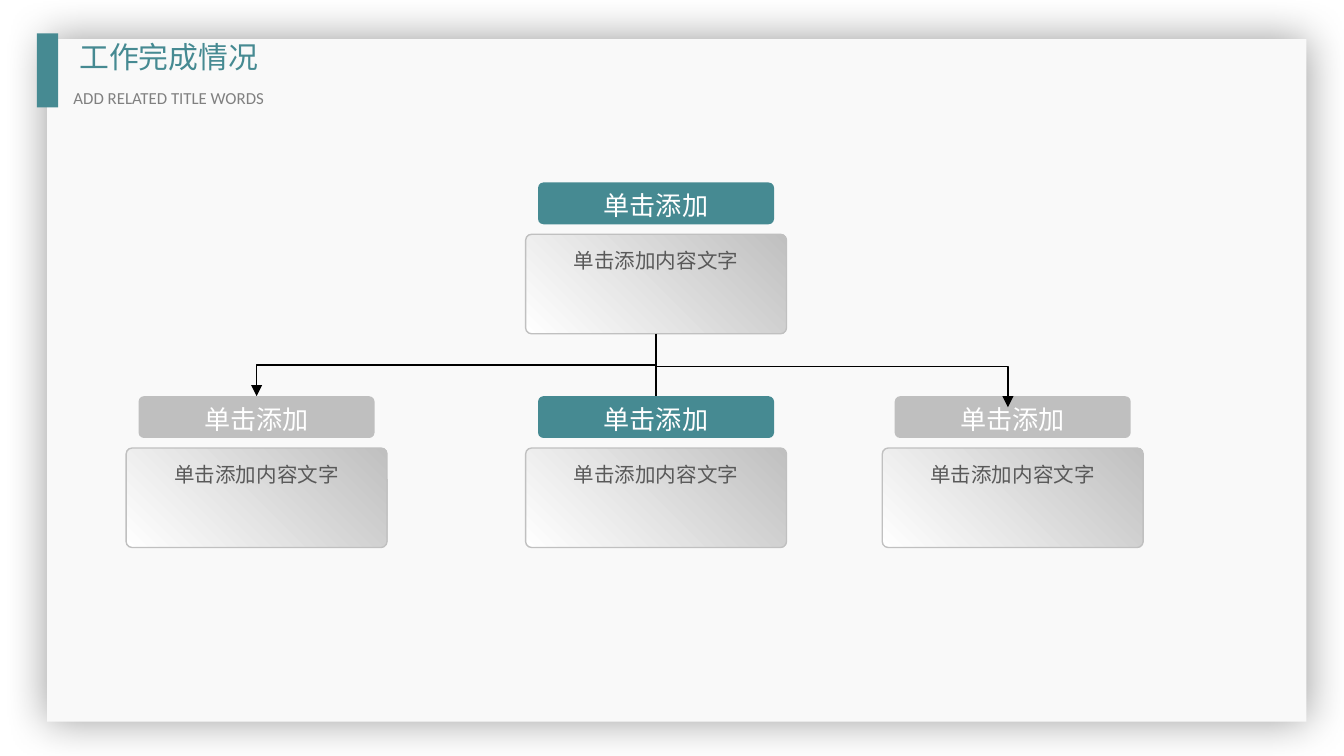
"""Build a work-completion slide: one parent box branching to three child boxes."""
from lxml import etree
from pptx import Presentation
from pptx.dml.color import RGBColor
from pptx.enum.shapes import MSO_CONNECTOR, MSO_SHAPE
from pptx.enum.text import MSO_ANCHOR, MSO_AUTO_SIZE, PP_ALIGN
from pptx.oxml.ns import qn
from pptx.util import Cm, Pt

RECT, ROUNDED = MSO_SHAPE.RECTANGLE, MSO_SHAPE.ROUNDED_RECTANGLE
STRAIGHT, ELBOW = MSO_CONNECTOR.STRAIGHT, MSO_CONNECTOR.ELBOW
TOP, NO_AUTOFIT = MSO_ANCHOR.TOP, MSO_AUTO_SIZE.NONE
CENTER, JUSTIFY = PP_ALIGN.CENTER, PP_ALIGN.JUSTIFY

TEAL, GRAY, SILVER, BLACK = "468A92", "BFBFBF", "C0C0C0", "000000"
TITLE = "工作完成情况"
SUBTITLE = "ADD RELATED TITLE WORDS"
HEADING, DETAIL = "单击添加", "单击添加内容文字"
NODES = {
    "parent": (12.4, 3.45, TEAL),
    "left": (4.85, 7.49, GRAY),
    "right": (19.14, 7.49, GRAY),
    "middle": (12.4, 7.49, TEAL),
}
HEADING_SIZE, CARD_SIZE, CARD_DROP = (4.46, 0.79), (4.93, 1.88), 0.98

prs = Presentation()
prs.slide_width, prs.slide_height = Cm(25.4), Cm(14.29)
slide = prs.slides.add_slide(prs.slide_layouts[5])
shapes = slide.shapes


def color(hex_code):
    return RGBColor.from_string(hex_code)


def set_text(part, text, size, hex_code, align, margins, font="Calibri"):
    frame = part.text_frame
    frame.text = text
    frame.word_wrap, frame.auto_size = True, NO_AUTOFIT
    frame.vertical_anchor = TOP
    (frame.margin_left, frame.margin_top,
     frame.margin_right, frame.margin_bottom) = map(Cm, margins)
    paragraph = frame.paragraphs[0]
    paragraph.alignment = align
    run_font = paragraph.runs[0].font
    run_font.name, run_font.size, run_font.bold = font, Pt(size), False
    run_font.color.rgb = color(hex_code)
    ea = etree.SubElement(run_font._element, qn("a:ea"))
    ea.set("typeface", "Noto Sans CJK SC")
    return paragraph


def add_block(kind, left, top, width, height, fill=None):
    block = shapes.add_shape(kind, Cm(left), Cm(top), Cm(width), Cm(height))
    block.shadow.inherit = False
    if fill:
        block.fill.solid()
        block.fill.fore_color.rgb = color(fill)
        block.line.fill.background()
    return block


def add_node(center, top, fill):
    width, height = HEADING_SIZE
    heading = add_block(ROUNDED, center - width / 2, top, width, height, fill)
    heading.adjustments[0] = 0.13
    set_text(heading, HEADING, 14, "FFFFFF", CENTER, (0.25, 0.1, 0.25, 0))

    width, height = CARD_SIZE
    card = add_block(ROUNDED, center - width / 2, top + CARD_DROP, width, height)
    card.adjustments[0] = 0.06
    card.fill.gradient()
    card.fill.gradient_angle = 45
    for stop, shade in zip(card.fill.gradient_stops, ("FFFFFF", SILVER)):
        stop.color.rgb = color(shade)
    card.line.color.rgb, card.line.width = color(SILVER), Pt(0.75)
    detail = set_text(card, DETAIL, 11, "595959", CENTER, (0.25, 0.13, 0.25, 0.13))
    detail.line_spacing = 1.2
    return heading, card


def add_link(kind, start, end, arrow=False):
    link = shapes.add_connector(kind, *map(Cm, start + end))
    link.line.color.rgb, link.line.width = color(BLACK), Pt(0.75)
    properties = link._element.spPr
    if arrow:
        etree.SubElement(properties.find(qn("a:ln")), qn("a:tailEnd")).set("type", "triangle")
    etree.SubElement(properties, qn("a:effectLst"))
    return link


paper = add_block(RECT, 0.89, 0.74, 23.8, 12.9, "F9F9F9")
effects = paper._element.spPr.find(qn("a:effectLst"))
glow = etree.SubElement(effects, qn("a:outerShdw"), blurRad=str(Pt(23)), algn="ctr")
shade = etree.SubElement(glow, qn("a:srgbClr"), val=BLACK)
etree.SubElement(shade, qn("a:alpha"), val="40000")
add_block(RECT, 0.7, 0.63, 0.4, 1.4, TEAL)

nodes = {role: add_node(*place) for role, place in NODES.items()}

trunk_x, parent_top, _ = NODES["parent"]
left_x, child_top, _ = NODES["left"]
trunk_top = parent_top + CARD_DROP + CARD_SIZE[1]
trunk = add_link(STRAIGHT, (trunk_x, trunk_top), (trunk_x, child_top))
trunk.begin_connect(nodes["parent"][1], 2)
trunk.end_connect(nodes["middle"][0], 0)

mid_x, mid_y = (trunk_x + left_x) / 2, (trunk_top + child_top) / 2
rise, reach = (child_top - trunk_top) / 2, (trunk_x - left_x) / 2
left_branch = add_link(ELBOW, (mid_x - rise, mid_y - reach), (mid_x + rise, mid_y + reach), True)
left_branch._element.spPr.find(qn("a:xfrm")).set("rot", "5400000")

right_branch = add_link(ELBOW, (trunk_x, 6.93), (19.05, 7.7), True)
right_branch._element.spPr.find(qn("a:prstGeom")).set("prst", "bentConnector2")

title = shapes.title
title.left, title.top, title.width, title.height = map(Cm, (1.3, 0.63, 5.1, 0.89))
set_text(title, TITLE, 16, TEAL, JUSTIFY, (0.2, 0.1, 0.2, 0.1), "Noto Sans CJK SC")
shapes._spTree.append(title._element)
subtitle = shapes.add_textbox(*map(Cm, (1.19, 1.55, 5.66, 0.58)))
set_text(subtitle, SUBTITLE, 9, "808080", JUSTIFY, (0.2, 0.1, 0.2, 0.1))

prs.save("out.pptx")
